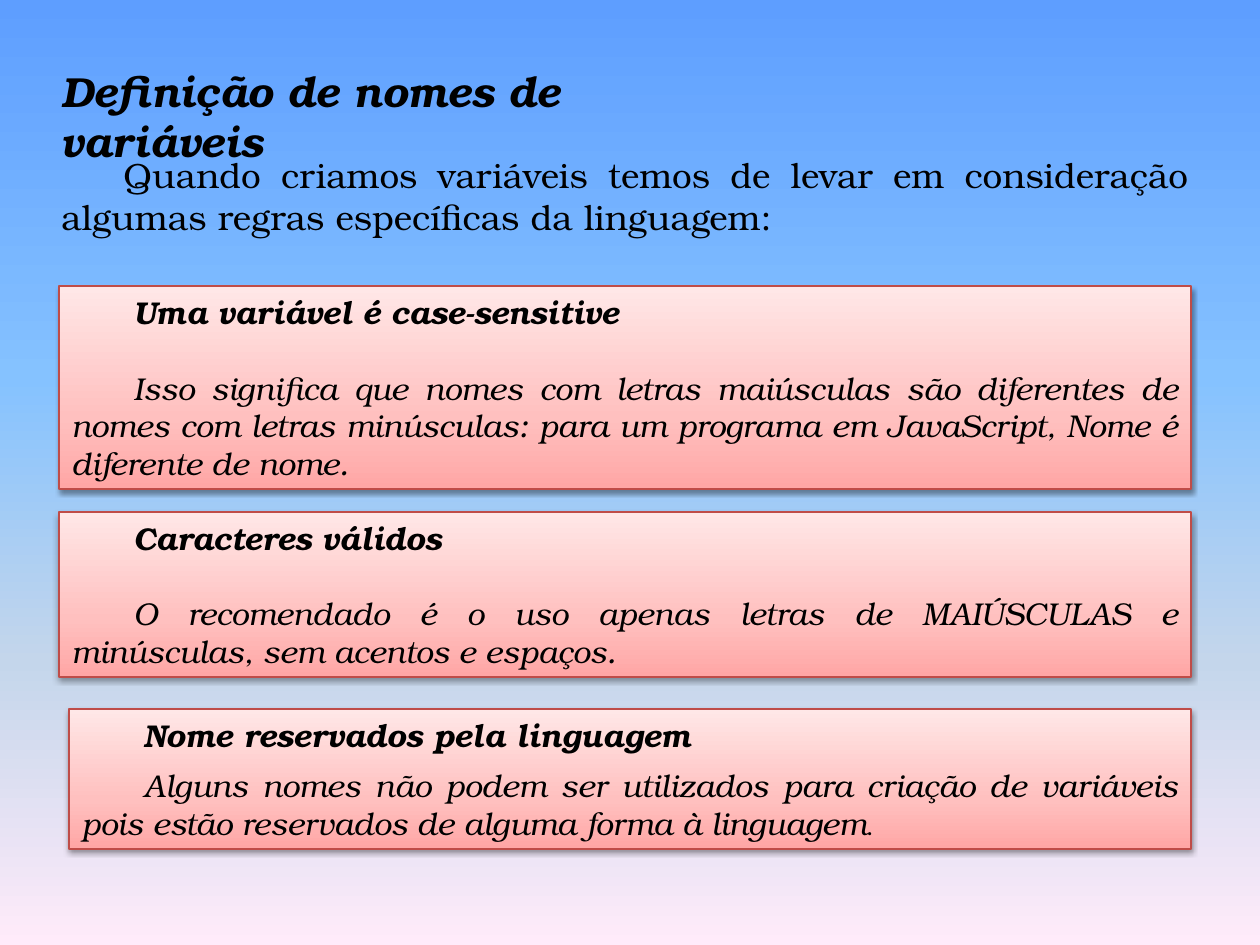
from dataclasses import dataclass

import pptx
import pptx.dml.color
import pptx.enum.shapes
import pptx.enum.text
import pptx.oxml
import pptx.oxml.ns
import pptx.util

SCALE = 914400 / 126  # EMU in one px
FONT = "TeX Gyre Bonum"
INDENT = 62
HEX = {
    "ink": "000000", "edge": "BF4C48",
    "sky": "5E9EFF", "blue": "85C2FF", "mist": "C4D6EB", "blush": "FFEBFA",
    "rose": "FFA6A5", "pink": "FFC0BF", "pale": "FFE7E7",
}
DUSK = ((0, "sky"), (40, "blue"), (70, "mist"), (100, "blush"))
GLOW = ((0, "rose"), (35, "pink"), (100, "pale"))

ALIGN = pptx.enum.text.PP_ALIGN
ANCHOR = pptx.enum.text.MSO_ANCHOR
LEAD = {"name": FONT, "size": pptx.util.Pt(18), "bold": True, "italic": True}
BODY = LEAD | {"bold": False}
STOP = BODY | {"name": "Lato", "size": pptx.util.Pt(14), "italic": False}
TITLE = LEAD | {"size": pptx.util.Pt(24)}
INTRO = BODY | {"size": pptx.util.Pt(20), "italic": False}


@dataclass
class Rule:
    left: int
    top: int
    width: int
    height: int
    head: str
    text: str
    gap: float  # points between head and text
    tail: str = ""


RULES = [
    Rule(59, 286, 1132, 203, "Uma variável é case-sensitive",
         "Isso significa que nomes com letras maiúsculas são diferentes de "
         "nomes com letras minúsculas: para um programa em JavaScript, "
         "Nome é diferente de nome.", 21.6),
    Rule(59, 512, 1132, 165, "Caracteres válidos",
         "O recomendado é o uso apenas letras de MAIÚSCULAS e minúsculas, "
         "sem acentos e espaços.", 21.6),
    Rule(69, 709, 1122, 140, "Nome reservados pela linguagem",
         "Alguns nomes não podem ser utilizados para criação de variáveis "
         "pois estão reservados de alguma forma à linguagem", 7, "."),
]


def px(*nums: int) -> list[int]:
    return [round(num * SCALE) for num in nums]


def color(name: str) -> pptx.dml.color.RGBColor:
    return pptx.dml.color.RGBColor.from_string(HEX[name])


def node(xml: str):
    space = pptx.oxml.ns.nsdecls("a")
    return pptx.oxml.parse_xml(xml.replace(" ", f" {space} ", 1))


def blend(fill, owner, stops: tuple, angle: int) -> None:
    """Fill with a gradient that has any number of stops."""
    fill.gradient()
    fill.gradient_angle = angle
    group = owner.xpath(".//a:gsLst")[0]
    for old in list(group):
        group.remove(old)
    for place, name in stops:
        group.append(node(f'<a:gs pos="{place * 1000}">'
                          f'<a:srgbClr val="{HEX[name]}"/></a:gs>'))


def shade(shape) -> None:
    shape.shadow.inherit = False
    shape.element.xpath(".//a:effectLst")[0].append(node(
        '<a:outerShdw blurRad="40000" dist="20000" dir="5400000" rotWithShape="0">'
        f'<a:srgbClr val="{HEX["ink"]}"><a:alpha val="38000"/></a:srgbClr>'
        '</a:outerShdw>'))


def write(para, text: str, style: dict) -> None:
    run = para.add_run()
    run.text = text
    for key, value in style.items():
        setattr(run.font, key, value)
    run.font.color.rgb = color("ink")


def indent(para) -> None:
    para.alignment = ALIGN.JUSTIFY
    props = para._p.get_or_add_pPr()
    props.set("marL", "0")
    props.set("indent", str(px(INDENT)[0]))


def label(slide, area: tuple, text: str, style: dict, anchor):
    frame = slide.shapes.add_textbox(*px(*area)).text_frame
    frame.word_wrap = True
    frame.vertical_anchor = anchor
    write(frame.paragraphs[0], text, style)
    return frame.paragraphs[0]


def panel(slide, rule: Rule) -> None:
    shape = slide.shapes.add_shape(
        pptx.enum.shapes.MSO_SHAPE.RECTANGLE,
        *px(rule.left, rule.top, rule.width, rule.height))
    blend(shape.fill, shape.element, GLOW, 90)
    shape.line.color.rgb = color("edge")
    shape.line.width = pptx.util.Pt(0.75)
    shade(shape)

    frame = shape.text_frame
    frame.word_wrap = True
    frame.vertical_anchor = ANCHOR.MIDDLE
    head, body = frame.paragraphs[0], frame.add_paragraph()
    for para in (head, body):
        indent(para)
    body.space_before = pptx.util.Pt(rule.gap)
    write(head, rule.head, LEAD)
    write(body, rule.text, BODY)
    if rule.tail:
        write(body, rule.tail, STOP)


def main() -> None:
    deck = pptx.Presentation()
    deck.slide_width, deck.slide_height = px(1260, 945)
    slide = deck.slides.add_slide(deck.slide_layouts[6])

    # Background
    blend(slide.background.fill, slide.element, DUSK, 270)

    # Title and opening text
    label(slide, (49, 59, 679, 63), "Definição de nomes de variáveis",
          TITLE, ANCHOR.TOP)
    indent(label(slide, (49, 147, 1152, 97),
                 "Quando criamos variáveis temos de levar em consideração "
                 "algumas regras específicas da linguagem:",
                 INTRO, ANCHOR.MIDDLE))

    # Naming rules
    for rule in RULES:
        panel(slide, rule)

    deck.save("out.pptx")


if __name__ == "__main__":
    main()
